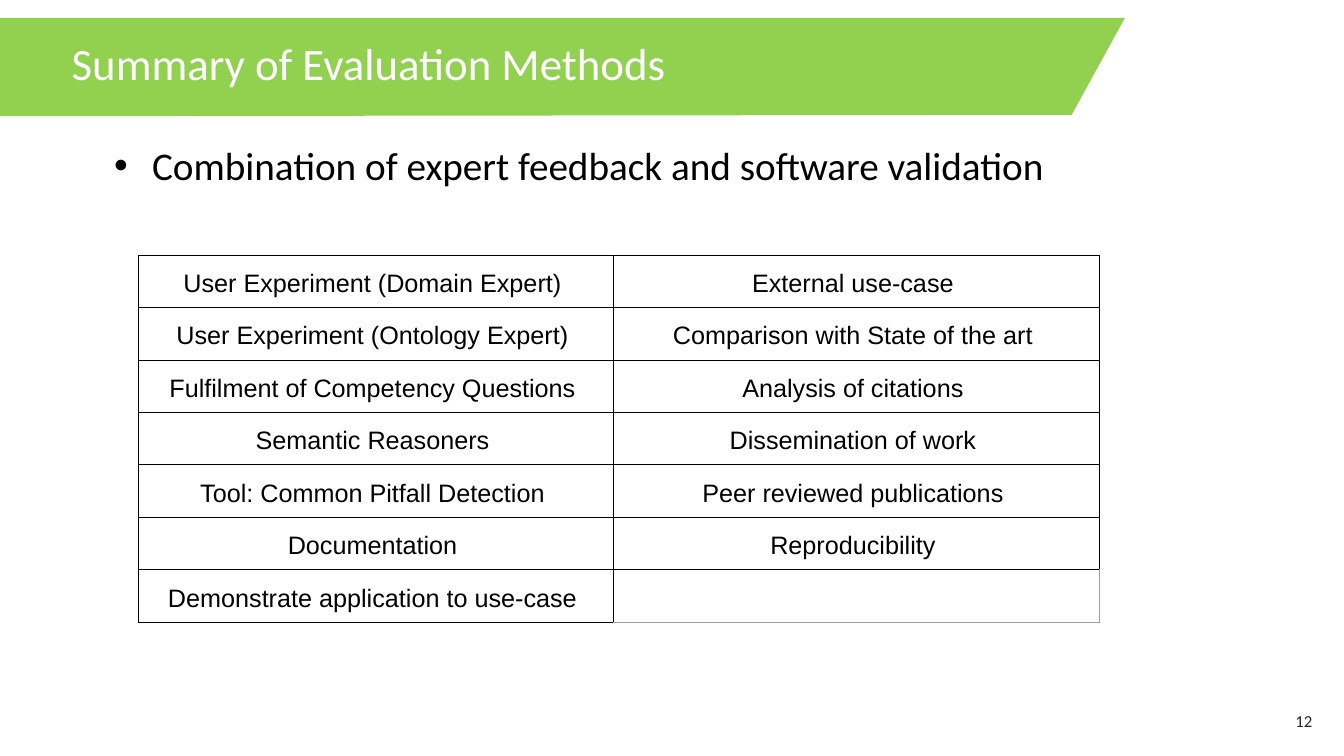
from lxml.etree import SubElement
from pptx import Presentation
from pptx.dml.color import RGBColor
from pptx.enum.text import MSO_ANCHOR, PP_ALIGN
from pptx.oxml.ns import qn
from pptx.util import Pt


def set_font(paragraph, name, size, color):
    paragraph.font.name = name
    paragraph.font.size = Pt(size)
    paragraph.font.color.rgb = RGBColor.from_string(color)


def add_border(cell, side, color):
    """Draw one cell edge; side is L, R, T or B, called in that order."""
    line = SubElement(cell._tc.get_or_add_tcPr(), qn(f"a:ln{side}"), w=str(Pt(0.75)))
    fill = SubElement(line, qn("a:solidFill"))
    SubElement(fill, qn("a:srgbClr"), val=color)


presentation = Presentation()
presentation.slide_width = Pt(960)
presentation.slide_height = Pt(540)
slide = presentation.slides.add_slide(presentation.slide_layouts[5])

# Green band, sent behind the title
builder = slide.shapes.build_freeform(Pt(-1.5), Pt(12.8))
builder.add_line_segments([(Pt(803.5), Pt(12.8)), (Pt(765.5), Pt(82)), (Pt(-1.5), Pt(83))])
band = builder.convert_to_shape()
band.shadow.inherit = False
band.fill.solid()
band.fill.fore_color.rgb = RGBColor.from_string("92D050")
band.line.fill.background()
slide.shapes._spTree.insert(2, band._element)

# Title
title = slide.shapes.title
title.left, title.top, title.width, title.height = Pt(44), Pt(18.7), Pt(710.6), Pt(56.2)
title.text_frame.text = "Summary of Evaluation Methods"
title.text_frame.vertical_anchor = MSO_ANCHOR.MIDDLE
paragraph = title.text_frame.paragraphs[0]
paragraph.alignment = PP_ALIGN.LEFT
paragraph.line_spacing = 0.9
set_font(paragraph, "Calibri", 32, "FFFFFF")

# Slide number
number = slide.shapes.add_textbox(Pt(728.6), Pt(500.5), Pt(216), Pt(28.75))
number.text_frame.word_wrap = True
number.text_frame.vertical_anchor = MSO_ANCHOR.MIDDLE
paragraph = number.text_frame.paragraphs[0]
paragraph.text = "12"
paragraph.alignment = PP_ALIGN.RIGHT
set_font(paragraph, "Calibri", 12, "262626")

# Table of methods
methods = [
    ("User Experiment (Domain Expert)", "External use-case"),
    ("User Experiment (Ontology Expert)", "Comparison with State of the art"),
    ("Fulfilment of Competency Questions", "Analysis of citations"),
    ("Semantic Reasoners", "Dissemination of work"),
    ("Tool: Common Pitfall Detection", "Peer reviewed publications"),
    ("Documentation", "Reproducibility"),
    ("Demonstrate application to use-case", ""),
]
row_height = 37.5
table = slide.shapes.add_table(
    len(methods), 2, Pt(99), Pt(182.2), Pt(686.4), Pt(row_height * len(methods))
).table
table.first_row = False
table.horz_banding = False
table.columns[0].width = Pt(339.1)
table.columns[1].width = Pt(347.3)
for row, texts in zip(table.rows, methods):
    row.height = Pt(row_height)
    for cell, text in zip(row.cells, texts):
        cell.margin_left = cell.margin_right = cell.margin_top = Pt(7.2)
        cell.margin_bottom = Pt(5)
        paragraph = cell.text_frame.paragraphs[0]
        paragraph.text = f"{text} " if text else ""
        paragraph.alignment = PP_ALIGN.CENTER
        paragraph.line_spacing = 1.15
        paragraph.space_after = Pt(12)
        set_font(paragraph, "Arial", 18, "000000")
        for side in "LRTB":
            add_border(cell, side, "9E9E9E" if not text and side in "RB" else "000000")
        cell.fill.background()

# Bullet line
summary = slide.shapes.add_textbox(Pt(65.5), Pt(97.2), Pt(790.6), Pt(45.4))
frame = summary.text_frame
frame.word_wrap = True
frame.margin_top = frame.margin_bottom = Pt(7.2)
paragraph = frame.paragraphs[0]
paragraph.text = "Combination of expert feedback and software validation"
paragraph.line_spacing = 0.9
paragraph.space_before = paragraph.space_after = Pt(10)
properties = paragraph._p.get_or_add_pPr()
properties.set("marL", str(Pt(36)))
properties.set("indent", str(Pt(-27)))
SubElement(properties, qn("a:buFont"), typeface="Arial")
SubElement(properties, qn("a:buChar"), char="•")
set_font(paragraph, "Calibri", 28, "000000")

presentation.save("out.pptx")
